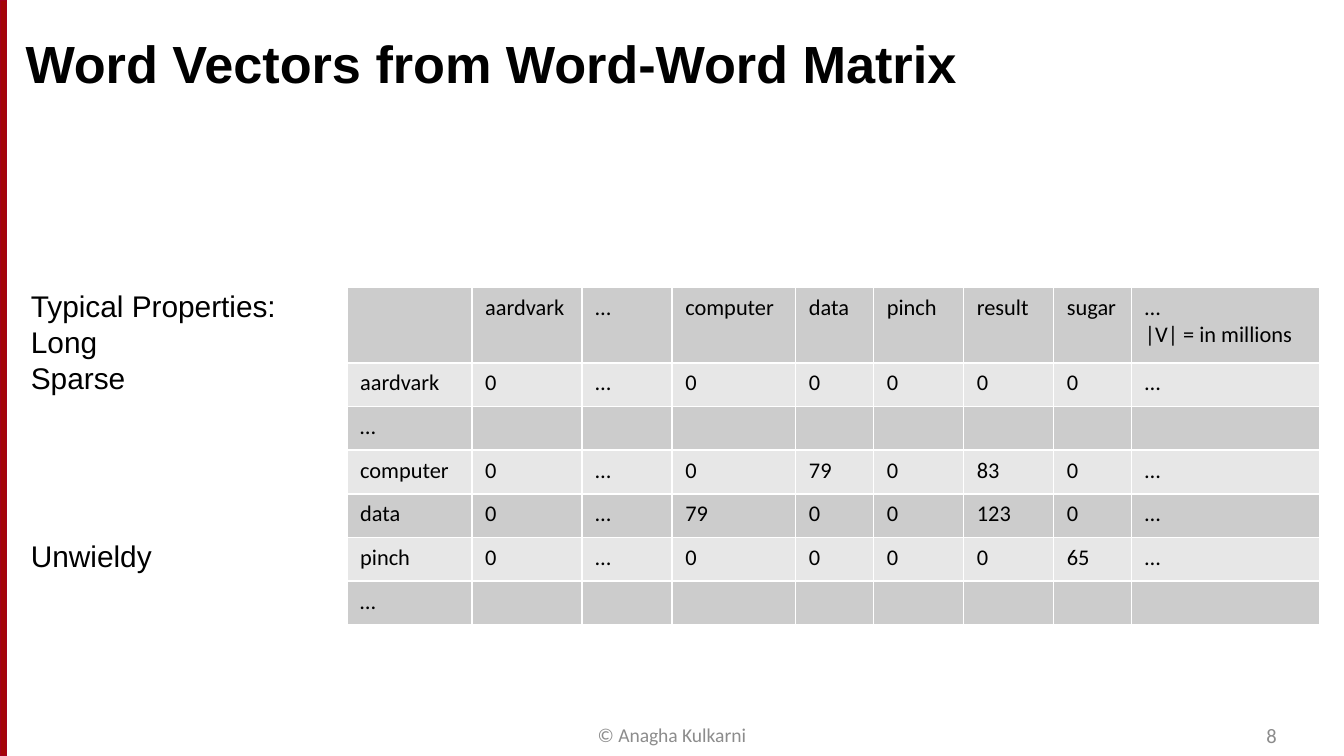
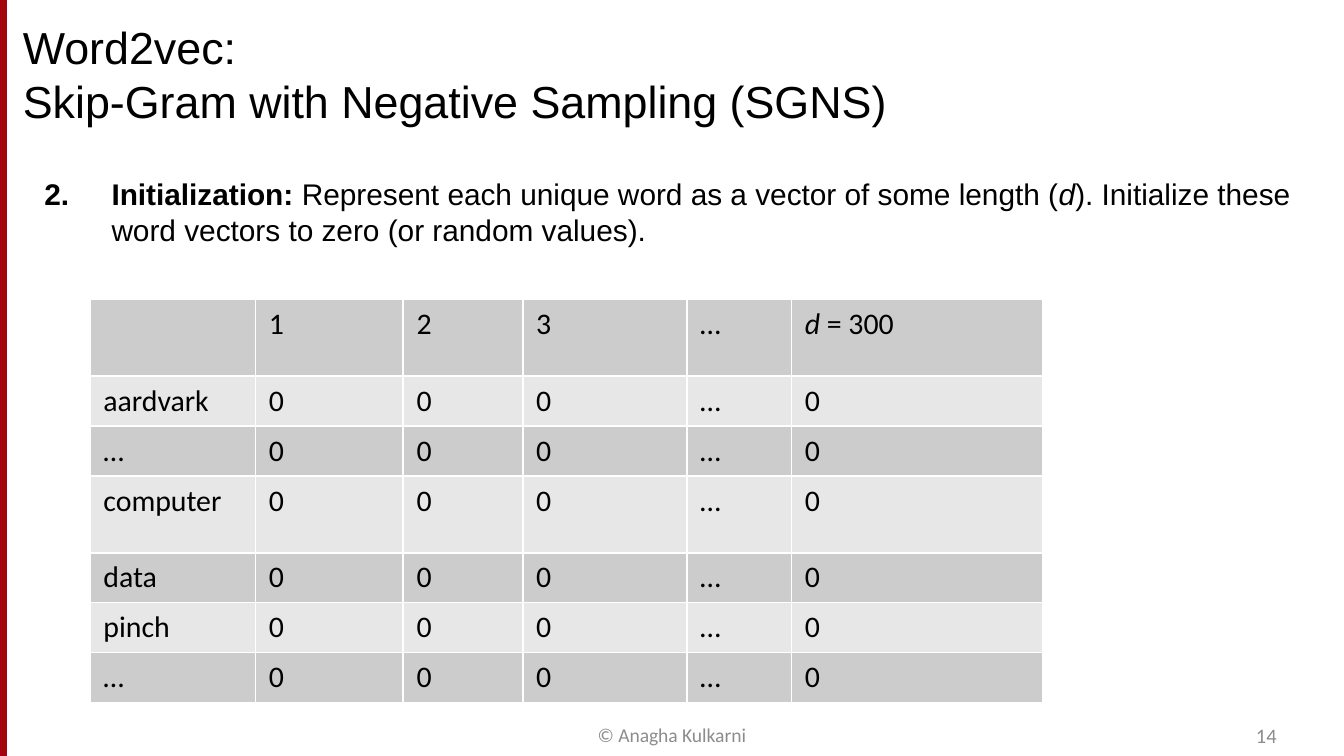
"""Build two slides on word vectors: the word-word matrix and SGNS initialization."""
from dataclasses import dataclass
from typing import NamedTuple

import lxml.etree
import pptx
import pptx.dml.color
import pptx.enum.shapes
import pptx.enum.text
import pptx.oxml.ns
import pptx.util

Inches = pptx.util.Inches
Pt = pptx.util.Pt
RGBColor = pptx.dml.color.RGBColor
PP_ALIGN = pptx.enum.text.PP_ALIGN
qn = pptx.oxml.ns.qn

BLACK = RGBColor(0x00, 0x00, 0x00)
WHITE = RGBColor(0xFF, 0xFF, 0xFF)
GREY = RGBColor(0x8C, 0x8C, 0x8C)
DARK_ROW = RGBColor(0xCC, 0xCC, 0xCC)
LIGHT_ROW = RGBColor(0xE7, 0xE7, 0xE7)
RED = RGBColor(0xA4, 0x05, 0x08)
CRIMSON = RGBColor(0xA4, 0x00, 0x1D)
WIDTH, HEIGHT = Inches(10), Inches(10 * 9 / 16)


class Box(NamedTuple):
    left: float
    top: float
    width: float
    height: float


class Style(NamedTuple):
    size: float
    font: str = "Arial"
    color: RGBColor = BLACK
    bold: bool = False


class Span(NamedTuple):
    text: str
    bold: bool = False
    italic: bool = False


@dataclass
class Grid:
    box: Box
    cols: list[float]
    rows: list[float]
    cells: list[list[str]]
    size: float


BODY = Style(16)
FOOTER = Style(10.5, "Calibri", GREY)
NUMBER = Style(11, "Calibri", GREY)
MATRIX_ROW = 1.95 / 6
VECTOR_ROW = 1.86 / 5

MATRIX = Grid(
    Box(2.58, 2.14, 7.24, 2.51),
    [0.93, 0.82, 0.67, 0.92, 0.58, 0.67, 0.67, 0.58, 1.4],
    [0.56] + [MATRIX_ROW] * 6,
    [
        ["", "aardvark", "…", "computer", "data", "pinch", "result", "sugar", "…\n|V| = in millions"],
        ["aardvark", "0", "…", "0", "0", "0", "0", "0", "…"],
        ["…"] + [""] * 8,
        ["computer", "0", "…", "0", "79", "0", "83", "0", "…"],
        ["data", "0", "…", "79", "0", "0", "123", "0", "…"],
        ["pinch", "0", "…", "0", "0", "0", "0", "65", "…"],
        ["…"] + [""] * 8,
    ],
    12,
)
VECTORS = Grid(
    Box(0.67, 2.23, 7.08, 3),
    [1.23, 1.1, 0.89, 1.22, 0.78, 1.87],
    [0.57, VECTOR_ROW, VECTOR_ROW, 0.57] + [VECTOR_ROW] * 3,
    [["", "1", "2", "3", "…", ""]]
    + [[word, "0", "0", "0", "…", "0"] for word in ("aardvark", "…", "computer", "data", "pinch", "…")],
    16,
)


def format_run(r, style: Style) -> None:
    """Apply a text style to one run."""
    r.font.name, r.font.size, r.font.bold = style.font, Pt(style.size), style.bold
    r.font.color.rgb = style.color


def write(tf, text: str, style: Style) -> None:
    """Set the text of a frame and format its runs."""
    tf.text = text
    for p in tf.paragraphs:
        for r in p.runs:
            format_run(r, style)


def write_spans(p, spans: list[Span], style: Style) -> None:
    """Add differently emphasised runs to a paragraph."""
    for span in spans:
        r = p.add_run()
        r.text = span.text
        format_run(r, style._replace(bold=span.bold))
        r.font.italic = span.italic


def place(sp, box: Box, autosize: bool = True):
    """Position a text shape, clear its insets and return its frame."""
    sp.left, sp.top, sp.width, sp.height = map(Inches, box)
    tf = sp.text_frame
    tf.margin_left = tf.margin_top = tf.margin_right = tf.margin_bottom = 0
    tf.vertical_anchor = pptx.enum.text.MSO_ANCHOR.TOP
    tf.word_wrap = True
    sizes = pptx.enum.text.MSO_AUTO_SIZE
    tf.auto_size = sizes.SHAPE_TO_FIT_TEXT if autosize else sizes.NONE
    return tf


def set_spacing(p) -> None:
    """Left-align a placeholder paragraph without extra spacing."""
    p.alignment = PP_ALIGN.LEFT
    p.line_spacing = 1.0
    p.space_before = p.space_after = Pt(0)


def set_list(p, indent: float = 0, start: int = 0) -> None:
    """Number a paragraph from start, or remove its bullet when start is zero."""
    pPr = p._p.get_or_add_pPr()
    pPr.set("marL", str(Inches(indent)))
    pPr.set("indent", str(-Inches(indent)))
    if start:
        lxml.etree.SubElement(pPr, qn("a:buFont"), typeface="+mj-lt")
        lxml.etree.SubElement(pPr, qn("a:buAutoNum"), type="arabicPeriod", startAt=str(start))
    else:
        lxml.etree.SubElement(pPr, qn("a:buNone"))


def add_band(s) -> None:
    """Draw the red band along the left edge."""
    line = s.shapes.add_connector(
        pptx.enum.shapes.MSO_CONNECTOR.STRAIGHT, Inches(0.02), 0, Inches(0.02), HEIGHT)
    line.line.color.rgb, line.line.width = RED, Pt(3.6)
    lxml.etree.SubElement(line._element.spPr, qn("a:effectLst"))
    sp = s.shapes.add_shape(pptx.enum.shapes.MSO_SHAPE.RECTANGLE, 0, 0, Inches(0.05), HEIGHT)
    sp.shadow.inherit = False
    sp.fill.background()
    sp.line.color.rgb, sp.line.width = CRIMSON, Pt(0.75)


def add_label(s, text: str, box: Box, style: Style, align: PP_ALIGN) -> None:
    """Add one footer text box."""
    tf = place(s.shapes.add_textbox(*map(Inches, box)), box)
    write(tf, text, style)
    tf.paragraphs[0].alignment = align


def add_slide(prs, title: str, box: Box, style: Style, number: int):
    """Add a slide with band, title and footer."""
    s = prs.slides.add_slide(prs.slide_layouts[1])
    add_band(s)
    tf = place(s.shapes.title, box)
    write(tf, title, style)
    set_spacing(tf.paragraphs[0])
    add_label(s, "© Anagha Kulkarni", Box(3.4, 5.38, 3.2, 0.18), FOOTER, PP_ALIGN.CENTER)
    add_label(s, str(number), Box(7.2, 5.38, 2.3, 0.19), NUMBER, PP_ALIGN.RIGHT)
    return s


def set_borders(cell) -> None:
    """Give a cell thin white borders on all sides."""
    tcPr = cell._tc.get_or_add_tcPr()
    for side in ("lnL", "lnR", "lnT", "lnB"):
        ln = lxml.etree.SubElement(tcPr, qn(f"a:{side}"), w=str(Pt(1)))
        fill = lxml.etree.SubElement(ln, qn("a:solidFill"))
        lxml.etree.SubElement(fill, qn("a:srgbClr"), val=str(WHITE))


def add_grid(s, grid: Grid):
    """Add a table with alternating grey rows and return it."""
    table = s.shapes.add_table(len(grid.rows), len(grid.cols), *map(Inches, grid.box)).table
    for col, width in zip(table.columns, grid.cols):
        col.width = Inches(width)
    for i, (row, height) in enumerate(zip(table.rows, grid.rows)):
        row.height = Inches(height)
        for cell, text in zip(row.cells, grid.cells[i]):
            set_borders(cell)
            cell.fill.solid()
            cell.fill.fore_color.rgb = LIGHT_ROW if i % 2 else DARK_ROW
            write(cell.text_frame, text, Style(grid.size, "Calibri"))
            for p in cell.text_frame.paragraphs:
                lxml.etree.SubElement(p._p, qn("a:endParaRPr"), sz=str(grid.size * 100))
    return table


def build_matrix(prs) -> None:
    """Build the word-word matrix slide."""
    s = add_slide(prs, "Word Vectors from Word-Word Matrix", Box(0.19, 0.23, 8.17, 0.47),
                  Style(28, bold=True), 8)
    tf = place(s.placeholders[1], Box(0.23, 2.14, 9.33, 2.42))
    write(tf, "Typical Properties:\nLong\nSparse\nUnwieldy", BODY)
    for p in tf.paragraphs:
        set_spacing(p)
        set_list(p)
    tf.paragraphs[-1].space_before = Pt(76.6)
    add_grid(s, MATRIX)


def build_initialization(prs) -> None:
    """Build the SGNS initialization slide."""
    s = add_slide(prs, "Word2vec: \vSkip-Gram with Negative Sampling (SGNS)",
                  Box(0.17, 0.15, 10.08, 0.81), Style(24), 14)
    p = place(s.placeholders[1], Box(0.33, 1.31, 9.58, 3.94), autosize=False).paragraphs[0]
    set_spacing(p)
    set_list(p, indent=0.5, start=2)
    write_spans(p, [
        Span("Initialization: ", bold=True),
        Span("Represent each unique word as a vector of some length ("),
        Span("d", italic=True),
        Span("). Initialize these word vectors to zero (or random values)."),
    ], BODY)
    table = add_grid(s, VECTORS)
    p = table.cell(0, len(VECTORS.cols) - 1).text_frame.paragraphs[0]
    write_spans(p, [Span("d", italic=True), Span(" = 300")], Style(VECTORS.size, "Calibri"))


def main() -> None:
    """Create and save the presentation."""
    prs = pptx.Presentation()
    prs.slide_width, prs.slide_height = WIDTH, HEIGHT
    build_matrix(prs)
    build_initialization(prs)
    prs.save("out.pptx")


if __name__ == "__main__":
    main()
